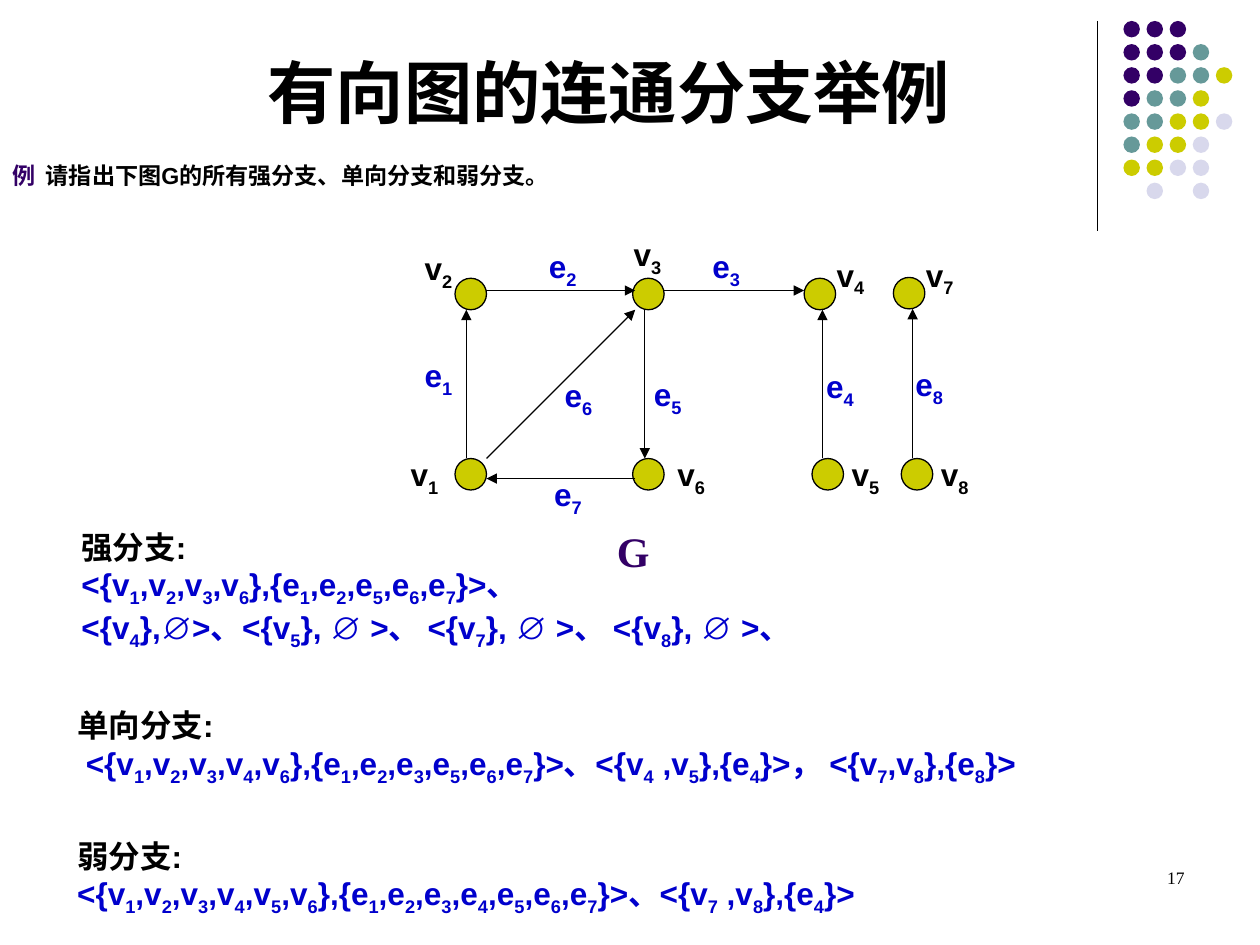
import typing

import pptx
import pptx.dml.color
import pptx.enum.shapes
import pptx.enum.text
import pptx.oxml
import pptx.oxml.ns
import pptx.util

Pt = pptx.util.Pt
Align = pptx.enum.text.PP_ALIGN
Fit = pptx.enum.text.MSO_AUTO_SIZE
BLACK, BLUE, PURPLE, OLIVE = "000000", "0000CC", "330066", "CCCC00"
NODE = 18
DOT, STEP = 9.4, 13.2
TINTS = {"P": PURPLE, "T": "669999", "Y": OLIVE, "L": "D8D8EC"}
DOTS = ["PPP", "PPPT", "PPTTY", "PTTY", "TTYYL", "TYYL", "YYLL", " L L"]


class Node(typing.NamedTuple):
    name: str
    x: float
    y: float
    tag_x: float
    tag_y: float


class Edge(typing.NamedTuple):
    name: str
    x1: float
    y1: float
    x2: float
    y2: float
    tag_x: float
    tag_y: float


class Answer(typing.NamedTuple):
    x: float
    y: float
    width: float
    height: float
    head: str
    lines: list[str]
    indent: float = 0


NODES = [
    Node("v_1", 260, 262, 227.5, 256.5),
    Node("v_2", 260, 159, 235.5, 139),
    Node("v_3", 361.5, 159, 355, 131),
    Node("v_4", 459.5, 159, 471, 142.5),
    Node("v_5", 464, 262, 479.5, 256.5),
    Node("v_6", 361.5, 262, 380, 256.5),
    Node("v_7", 510.5, 158.5, 522, 142.5),
    Node("v_8", 515, 262, 530.5, 256.5),
]
EDGES = [
    Edge("e_1", 266.5, 262, 266.5, 177, 235.5, 200),
    Edge("e_2", 278, 166, 363, 166, 306.5, 137.5),
    Edge("e_3", 379.5, 166, 459.5, 166, 400, 137.5),
    Edge("e_4", 470, 262, 470, 177, 465, 206),
    Edge("e_5", 368.5, 177, 368.5, 262, 366.5, 211),
    Edge("e_6", 278, 262, 363, 177, 315.5, 211.5),
    Edge("e_7", 363, 273.5, 278, 273.5, 309.5, 268),
    Edge("e_8", 521.5, 262, 521.5, 176.5, 516, 205),
]
ANSWERS = [
    Answer(39.5, 298, 657, 78, "强分支:", [
        "<{v_1,v_2,v_3,v_6},{e_1,e_2,e_5,e_6,e_7}>、",
        "<{v_4},∅>、<{v_5}, ∅ >、 <{v_7}, ∅ >、 <{v_8}, ∅ >、"]),
    Answer(37, 400, 616, 53, "单向分支:", [
        "<{v_1,v_2,v_3,v_4,v_6},{e_1,e_2,e_3,e_5,e_6,e_7}>、"
        "<{v_4 ,v_5},{e_4}>， <{v_7,v_8},{e_8}>"], 5),
    Answer(37, 474.5, 572, 53, "弱分支:", [
        "<{v_1,v_2,v_3,v_4,v_5,v_6},{e_1,e_2,e_3,e_4,e_5,e_6,e_7}>、"
        "<{v_7 ,v_8},{e_4}>"]),
]


def paint(part: typing.Any, tint: str) -> None:
    """Colour a font, or a fill or line through its solid fill."""
    color = part.color if hasattr(part, "color") else part.fore_color
    color.rgb = pptx.dml.color.RGBColor.from_string(tint)


def style(para, size: float, tint: str, face: str = "Arial", bold: bool = True) -> None:
    font = para.font
    font.name, font.size, font.bold = face, Pt(size), bold
    paint(font, tint)


def place(shape, x: float, y: float, width: float, height: float) -> None:
    shape.left, shape.top = Pt(x), Pt(y)
    shape.width, shape.height = Pt(width), Pt(height)


def write(para, text: str) -> None:
    """Add text in which the character after each underscore is a subscript."""
    first, *rest = text.split("_")
    para.add_run().text = first
    for piece in rest:
        low = para.add_run()
        low.text = piece[0]
        low._r.get_or_add_rPr().set("baseline", "-25000")
        if piece[1:]:
            para.add_run().text = piece[1:]


def text_box(slide, x: float, y: float, width: float, height: float, wrap: bool = True):
    frame = slide.shapes.add_textbox(Pt(x), Pt(y), Pt(width), Pt(height)).text_frame
    frame.word_wrap = wrap
    return frame


def tag(slide, text: str, x: float, y: float, tint: str) -> None:
    frame = text_box(slide, x, y, 30.2, 31.7, wrap=False)
    frame.auto_size = Fit.SHAPE_TO_FIT_TEXT
    write(frame.paragraphs[0], text)
    style(frame.paragraphs[0], 18, tint)


def disc(slide, x: float, y: float, size: float, tint: str, rim: bool = False) -> None:
    oval = pptx.enum.shapes.MSO_SHAPE.OVAL
    shape = slide.shapes.add_shape(oval, Pt(x), Pt(y), Pt(size), Pt(size))
    shape.shadow.inherit = False
    shape.fill.solid()
    paint(shape.fill, tint)
    if rim:
        paint(shape.line, BLACK)
        shape.line.width = Pt(0.75)
    else:
        shape.line.fill.background()


def rule(slide, x1: float, y1: float, x2: float, y2: float, arrow: bool = False) -> None:
    kind = pptx.enum.shapes.MSO_CONNECTOR.STRAIGHT
    line = slide.shapes.add_connector(kind, Pt(x1), Pt(y1), Pt(x2), Pt(y2))
    paint(line.line, BLACK)
    line.line.width = Pt(0.75)
    props = line._element.spPr
    if arrow:
        end = pptx.oxml.ns.qn("a:tailEnd")
        line.line._get_or_add_ln().append(props.makeelement(end, {"type": "triangle"}))
    props.append(props.makeelement(pptx.oxml.ns.qn("a:effectLst"), {}))


def shift(para, left: float, first: float = 0):
    """Set the left margin and the first-line indent."""
    props = para._p.get_or_add_pPr()
    props.set("marL", str(Pt(left)))
    props.set("indent", str(Pt(first)))
    return props


def heading(slide) -> None:
    title = slide.shapes.title
    place(title, 42, 3.5, 612, 75.5)
    frame = title.text_frame
    frame.text = "有向图的连通分支举例"
    frame.auto_size = Fit.NONE
    frame.vertical_anchor = pptx.enum.text.MSO_ANCHOR.BOTTOM
    frame.paragraphs[0].alignment = Align.CENTER
    style(frame.paragraphs[0], 39, BLACK)


def task(slide) -> None:
    body = slide.placeholders[1]
    place(body, 0, 88.5, 648, 50)
    body.text_frame.auto_size = Fit.NONE
    para = body.text_frame.paragraphs[0]
    props = shift(para, 19, -19)
    props.append(props.makeelement(pptx.oxml.ns.qn("a:buNone"), {}))
    para.space_before = Pt(0)
    style(para, 13.2, BLACK)
    mark = para.add_run()
    mark.text = "例"
    paint(mark.font, PURPLE)
    para.add_run().text = "\t请指出下图G的所有强分支、单向分支和弱分支。"


def answer(slide, item: Answer) -> None:
    frame = text_box(slide, item.x, item.y, item.width, item.height)
    frame.paragraphs[0].add_run().text = item.head
    style(frame.paragraphs[0], 18, BLACK)
    for text in item.lines:
        para = frame.add_paragraph()
        shift(para, item.indent)
        write(para, text)
        style(para, 18, BLUE)


def main() -> None:
    deck = pptx.Presentation()
    deck.slide_width, deck.slide_height = Pt(720), Pt(540)
    slide = deck.slides.add_slide(deck.slide_layouts[1])
    rule(slide, 627, 12, 627, 132)
    for row, marks in enumerate(DOTS):
        for col, mark in enumerate(marks):
            if mark in TINTS:
                disc(slide, 642 + col * STEP, 12 + row * STEP, DOT, TINTS[mark])
    heading(slide)
    task(slide)
    for item in ANSWERS:
        answer(slide, item)
    for node in NODES:
        disc(slide, node.x, node.y, NODE, OLIVE, rim=True)
        tag(slide, node.name, node.tag_x, node.tag_y, BLACK)
    for edge in EDGES:
        rule(slide, edge.x1, edge.y1, edge.x2, edge.y2, arrow=True)
        tag(slide, edge.name, edge.tag_x, edge.tag_y, BLUE)
    name = text_box(slide, 345.5, 297, 30, 36).paragraphs[0]
    name.text, name.alignment = "G", Align.CENTER
    style(name, 24, PURPLE, "Times New Roman")
    page = text_box(slide, 516, 492, 168, 36).paragraphs[0]
    page.text, page.alignment = "17", Align.RIGHT
    style(page, 10, BLACK, "Times New Roman", bold=False)
    deck.save("out.pptx")


if __name__ == "__main__":
    main()
